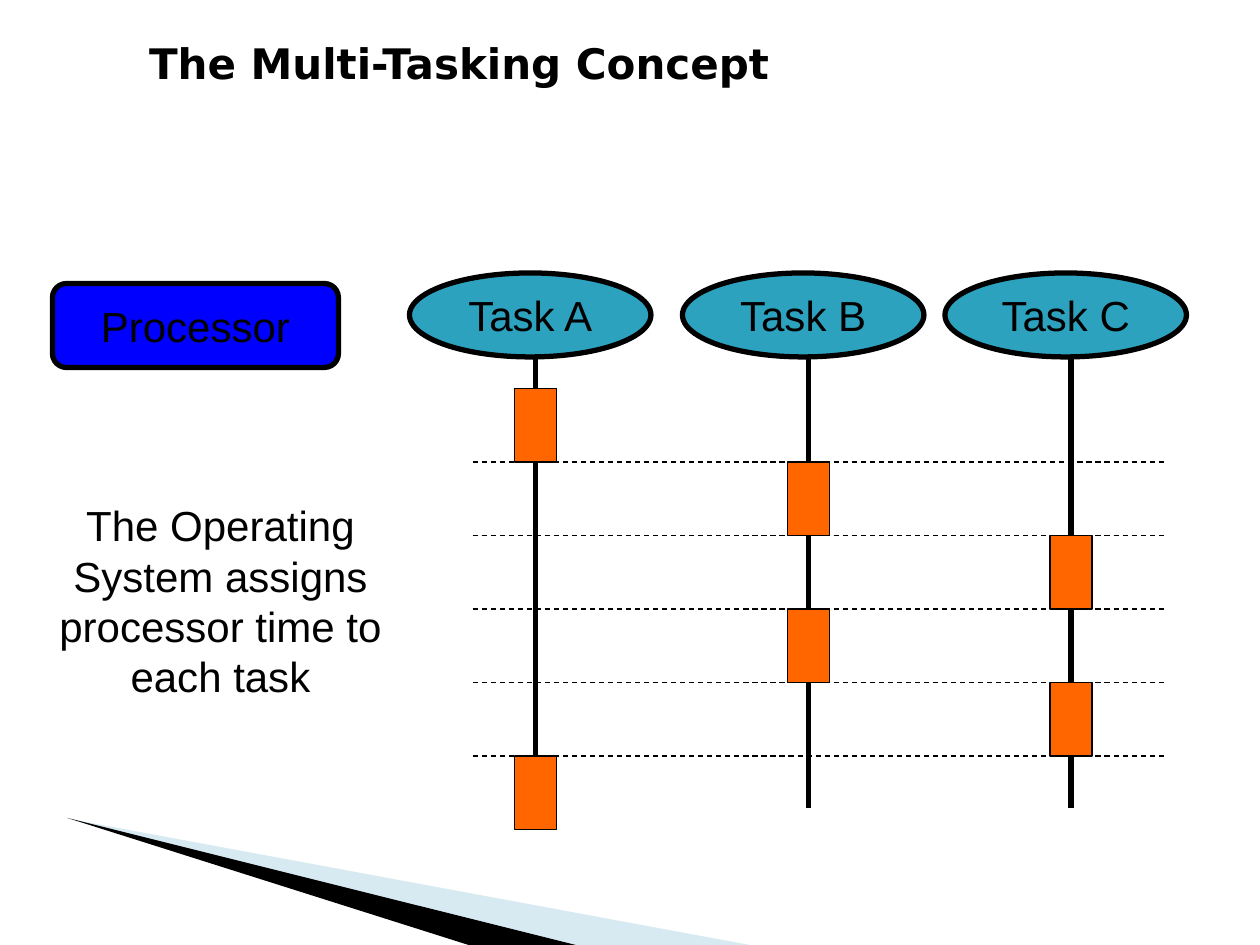
from lxml import etree
from pptx import Presentation
from pptx.dml.color import RGBColor
from pptx.enum.dml import MSO_LINE
from pptx.enum.shapes import MSO_CONNECTOR, MSO_SHAPE
from pptx.enum.text import MSO_ANCHOR, MSO_AUTO_SIZE, PP_ALIGN
from pptx.oxml.ns import qn
from pptx.util import Inches, Pt

OVAL, ROUND, RECT = MSO_SHAPE.OVAL, MSO_SHAPE.ROUNDED_RECTANGLE, MSO_SHAPE.RECTANGLE
STRAIGHT, DASH = MSO_CONNECTOR.STRAIGHT, MSO_LINE.DASH
TOP, MIDDLE = MSO_ANCHOR.TOP, MSO_ANCHOR.MIDDLE
LEFT, CENTER = PP_ALIGN.LEFT, PP_ALIGN.CENTER

THEME = {
    "ink": RGBColor.from_string("000000"),
    "task": RGBColor.from_string("2DA2BF"),
    "slot": RGBColor.from_string("FF6600"),
    "chip": RGBColor.from_string("0000FF"),
    "pale": RGBColor.from_string("9FCBDC"),
    "size": Pt(24),
    "font": "Arial",
    "head": "DejaVu Sans",
    "bold": Pt(3),
    "thin": Pt(0.75),
}

# The slide is a grid of 120 by 90 units, 12 to the inch.
UNIT = Inches(1) // 12
STEMS = {"Task A": 51, "Task B": 77, "Task C": 102}
TURNS = ["Task A", "Task B", "Task C", "Task B", "Task C", "Task A"]
START, STEP = 37, 7


def write(shape, text, font=THEME["font"], bold=False, align=CENTER,
          anchor=MIDDLE, wrap=False):
    frame = shape.text_frame
    frame.text = text
    frame.word_wrap = wrap
    frame.auto_size = MSO_AUTO_SIZE.NONE
    frame.vertical_anchor = anchor
    para = frame.paragraphs[0]
    para.alignment = align
    para.font.name = font
    para.font.size = THEME["size"]
    para.font.bold = bold
    para.font.color.rgb = THEME["ink"]


def paint(shape, fill, width=None):
    """Give a flat fill, and an ink outline when a width is given."""
    shape.shadow.inherit = False
    shape.fill.solid()
    shape.fill.fore_color.rgb = THEME[fill]
    if width is None:
        shape.line.fill.background()
    else:
        shape.line.color.rgb = THEME["ink"]
        shape.line.width = width


deck = Presentation()
deck.slide_width, deck.slide_height = 120 * UNIT, 90 * UNIT
slide = deck.slides.add_slide(deck.slide_layouts[5])
shapes = slide.shapes

# Corner wedges, in inches
wedges = [
    ("pale", 40, [(0.55, 6.5), (5.95, 7.5), (4.56, 7.5)]),
    ("ink", 100, [(0.53, 6.49), (4.57, 7.5), (3.72, 7.5)]),
]
for fill, alpha, points in wedges:
    first, *rest = [(Inches(x), Inches(y)) for x, y in points]
    pen = shapes.build_freeform(*first)
    pen.add_line_segments(rest)
    wedge = pen.convert_to_shape()
    paint(wedge, fill)
    if alpha < 100:
        tint = wedge.fill._xPr.find(qn("a:solidFill"))[0]
        etree.SubElement(tint, qn("a:alpha"), val=str(alpha * 1000))

# Tasks
for name, x in STEMS.items():
    oval = shapes.add_shape(OVAL, (x - 12) * UNIT, 26 * UNIT, 23 * UNIT, 8 * UNIT)
    paint(oval, "task", THEME["bold"])
    write(oval, name)

# Time lines down, switch lines across
lines = [(x, 34, x, 77, "bold") for x in STEMS.values()]
for turn in range(1, len(TURNS)):
    y = START + turn * STEP
    lines.append((45, y, 111, y, "thin"))
for *ends, width in lines:
    line = shapes.add_connector(STRAIGHT, *[end * UNIT for end in ends])
    line.line.color.rgb = THEME["ink"]
    line.line.width = THEME[width]
    if width == "thin":
        line.line.dash_style = DASH
    etree.SubElement(line._element.spPr, qn("a:effectLst"))

# Time slots, one per turn
for turn, name in enumerate(TURNS):
    slot = shapes.add_shape(RECT, (STEMS[name] - 2) * UNIT,
                            (START + turn * STEP) * UNIT, 4 * UNIT, STEP * UNIT)
    paint(slot, "slot", THEME["thin"])

# Processor and caption
chip = shapes.add_shape(ROUND, 5 * UNIT, 27 * UNIT, Inches(2.27), 8 * UNIT)
paint(chip, "chip", THEME["bold"])
write(chip, "Processor")

note = shapes.add_textbox(0, 47 * UNIT, 42 * UNIT, Inches(1.7))
write(note, "The Operating System assigns processor time to each task",
      anchor=TOP, wrap=True)

title = shapes.title
title.left, title.top = 13 * UNIT, 3 * UNIT
title.width, title.height = 89 * UNIT, 6 * UNIT
write(title, "The Multi-Tasking Concept", font=THEME["head"], bold=True,
      align=LEFT, anchor=TOP, wrap=True)

deck.save("out.pptx")
